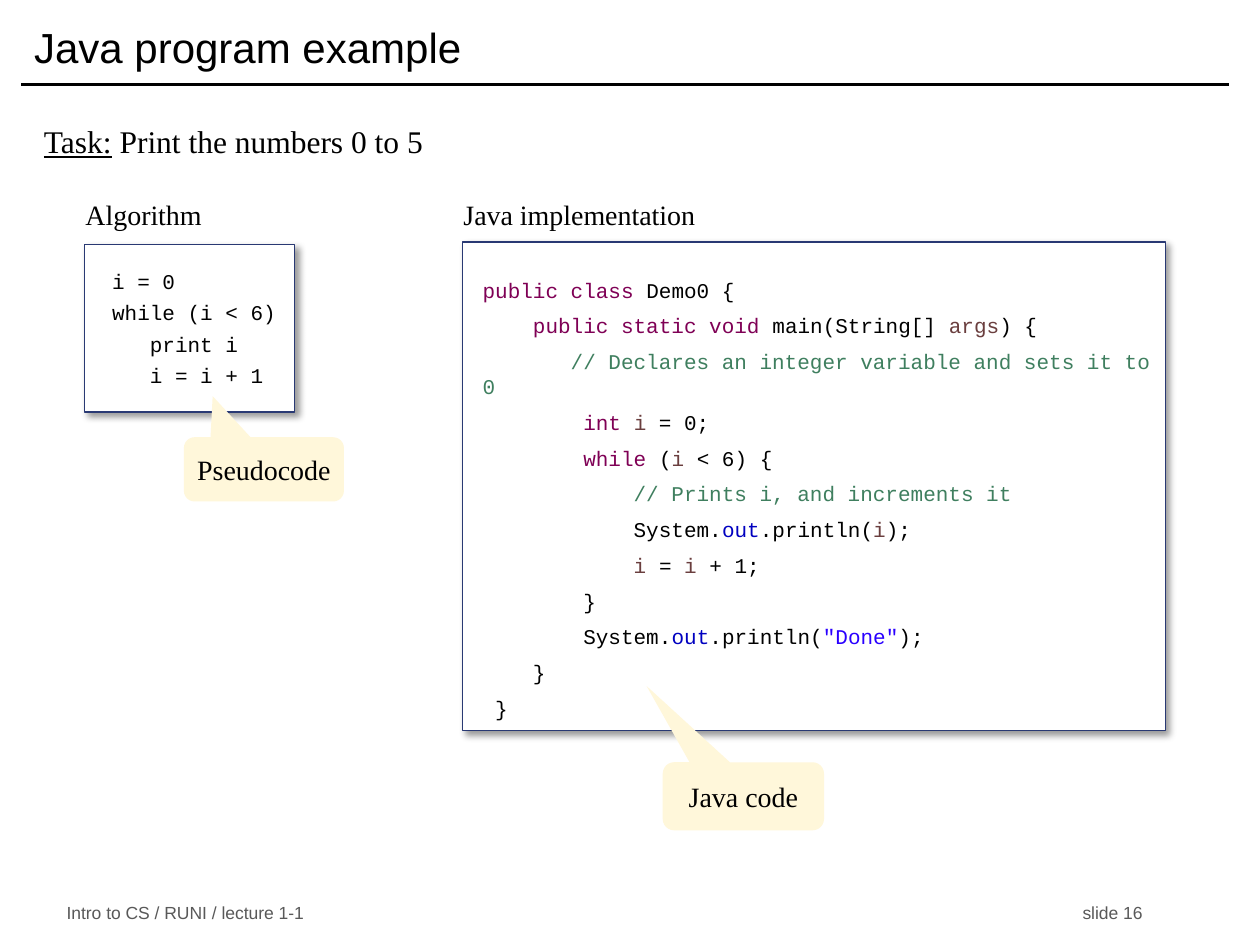
import pptx
import pptx.dml.color
import pptx.enum.shapes
import pptx.enum.text
import pptx.oxml
import pptx.oxml.ns
import pptx.util
from lxml import etree

Inches = pptx.util.Inches
Pt = pptx.util.Pt
RGBColor = pptx.dml.color.RGBColor
MSO_SHAPE = pptx.enum.shapes.MSO_SHAPE
PP_ALIGN = pptx.enum.text.PP_ALIGN
MSO_ANCHOR = pptx.enum.text.MSO_ANCHOR
qn = pptx.oxml.ns.qn

BLACK = RGBColor(0x00, 0x00, 0x00)
WHITE = RGBColor(0xFF, 0xFF, 0xFF)
GREY = RGBColor(0x59, 0x59, 0x59)
NAVY = RGBColor(0x29, 0x39, 0x73)
CREAM = RGBColor(0xFF, 0xF7, 0xDA)
KEYWORD = RGBColor(0x7F, 0x00, 0x55)
VARIABLE = RGBColor(0x6A, 0x3E, 0x3E)
COMMENT = RGBColor(0x3F, 0x7F, 0x5F)
FIELD = RGBColor(0x00, 0x00, 0xC0)
STRING = RGBColor(0x2A, 0x00, 0xFF)

SANS, SERIF, MONO = "Arial", "Times New Roman", "Courier New"

SHADOW = (
    '<a:effectLst xmlns:a="http://schemas.openxmlformats.org/drawingml/2006/main">'
    '<a:outerShdw blurRad="50800" dist="38100" dir="2700000" algn="tl" rotWithShape="0">'
    '<a:srgbClr val="000000"><a:alpha val="40000"/></a:srgbClr>'
    '</a:outerShdw></a:effectLst>'
)

PSEUDOCODE = [
    [("i = 0", BLACK)],
    [("while (i < 6)", BLACK)],
    [("   print i", BLACK)],
    [("   i = i + 1", BLACK)],
]

JAVA_CODE = [
    [("public class", KEYWORD), (" Demo0 {", BLACK)],
    [("    public static void", KEYWORD), (" main(String[] ", BLACK),
     ("args", VARIABLE), (") {", BLACK)],
    [("       // Declares an integer variable and sets it to 0", COMMENT)],
    [("        int ", KEYWORD), ("i", VARIABLE), (" = 0;", BLACK)],
    [("        while", KEYWORD), (" (", BLACK), ("i", VARIABLE), (" < 6) {", BLACK)],
    [("            // Prints i, and increments it", COMMENT)],
    [("            System.", BLACK), ("out", FIELD), (".println(", BLACK),
     ("i", VARIABLE), (");", BLACK)],
    [("            i", VARIABLE), (" = ", BLACK), ("i", VARIABLE), (" + 1;", BLACK)],
    [("        }", BLACK)],
    [("        System.", BLACK), ("out", FIELD), (".println(", BLACK),
     ('"Done"', STRING), (");", BLACK)],
    [("    }", BLACK)],
    [(" }", BLACK)],
]


class SlideBuilder:
    def __init__(self, prs):
        self.s = prs.slides.add_slide(prs.slide_layouts[5])

    def font(self, r, name, size, color):
        r.font.name = name
        r.font.size = Pt(size)
        r.font.color.rgb = color

    def frame(self, sp, anchor, insets=(0.1, 0.05, 0.1, 0.05)):
        tf = sp.text_frame
        tf.word_wrap = True
        tf.vertical_anchor = anchor
        (tf.margin_left, tf.margin_top,
         tf.margin_right, tf.margin_bottom) = map(Inches, insets)
        return tf

    def title(self, text, box):
        sp = self.s.shapes.title
        sp.left, sp.top, sp.width, sp.height = map(Inches, box)
        tf = self.frame(sp, MSO_ANCHOR.MIDDLE)
        tf.text = text
        p = tf.paragraphs[0]
        p.alignment = PP_ALIGN.LEFT
        self.font(p.runs[0], SANS, 24, BLACK)

    def rule(self, x1, x2, y):
        line = self.s.shapes.add_connector(
            pptx.enum.shapes.MSO_CONNECTOR.STRAIGHT,
            Inches(x1), Inches(y), Inches(x2), Inches(y))
        line.line.color.rgb = BLACK
        line.line.width = Pt(2)
        etree.SubElement(line._element.spPr, qn("a:effectLst"))

    def text(self, text, box, size, name=SERIF, color=BLACK, anchor=MSO_ANCHOR.TOP):
        sp = self.s.shapes.add_textbox(*map(Inches, box))
        tf = self.frame(sp, anchor)
        tf.text = text
        p = tf.paragraphs[0]
        for r in p.runs:
            self.font(r, name, size, color)
        return p

    def footer(self, left, right, box):
        p = self.text(f"{left}\t{right}", box, 10, SANS, GREY, MSO_ANCHOR.MIDDLE)
        tabs = etree.SubElement(p._p.get_or_add_pPr(), qn("a:tabLst"))
        tab_pos = Inches(box[2] - 0.2)
        etree.SubElement(tabs, qn("a:tab"), pos=str(tab_pos), algn="r")

    def code(self, lines, box, insets, anchor, space):
        sp = self.s.shapes.add_shape(MSO_SHAPE.RECTANGLE, *map(Inches, box))
        sp.fill.solid()
        sp.fill.fore_color.rgb = WHITE
        sp.line.color.rgb = NAVY
        sp.line.width = Pt(0.75)
        sp._element.spPr.append(pptx.oxml.parse_xml(SHADOW))
        tf = self.frame(sp, anchor, insets)
        for i, line in enumerate(lines):
            p = tf.add_paragraph() if i else tf.paragraphs[0]
            p.alignment = PP_ALIGN.LEFT
            if i:
                p.space_before = Pt(space)
            for token, color in line:
                r = p.add_run()
                r.text = token
                self.font(r, MONO, 12, color)

    def callout(self, text, box, tip):
        sp = self.s.shapes.add_shape(
            MSO_SHAPE.ROUNDED_RECTANGULAR_CALLOUT, *map(Inches, box))
        sp.shadow.inherit = False
        sp.adjustments[0], sp.adjustments[1] = tip
        sp.fill.solid()
        sp.fill.fore_color.rgb = CREAM
        sp.line.fill.background()
        tf = self.frame(sp, MSO_ANCHOR.MIDDLE, (0, 0.05, 0, 0.05))
        tf.text = text
        p = tf.paragraphs[0]
        p.alignment = PP_ALIGN.CENTER
        self.font(p.runs[0], SERIF, 16, BLACK)


def main():
    prs = pptx.Presentation()
    prs.slide_width, prs.slide_height = Inches(10), Inches(7.5)
    b = SlideBuilder(prs)

    # Header and footer
    b.rule(0.17, 9.75, 0.67)
    b.footer("Intro to CS / RUNI / lecture 1-1", "slide 16", (0.43, 7.14, 8.74, 0.21))
    b.title("Java program example", (0.17, 0.08, 9.58, 0.58))

    # Task
    p = b.text("Task:", (0.25, 0.92, 9.42, 0.5), 18)
    p.runs[0].font.underline = True
    r = p.add_run()
    r.text = " Print the numbers 0 to 5"
    b.font(r, SERIF, 18, BLACK)

    # Algorithm
    b.code(PSEUDOCODE, (0.67, 1.94, 1.67, 1.33), (0.22, 0.12, 0, 0.12),
           MSO_ANCHOR.MIDDLE, 3.6)
    b.text("Algorithm", (0.58, 1.52, 1.75, 0.42), 16)
    b.callout("Pseudocode", (1.46, 3.47, 1.27, 0.51), (-0.32, -1.14))

    # Java implementation
    b.code(JAVA_CODE, (3.67, 1.92, 5.58, 3.88), (0.16, 0.28, 0, 0.12),
           MSO_ANCHOR.TOP, 6)
    b.text("Java implementation", (3.58, 1.52, 2.17, 0.38), 16)
    b.callout("Java code", (5.26, 6.05, 1.28, 0.54), (-0.6, -1.62))

    prs.save("out.pptx")


if __name__ == "__main__":
    main()
